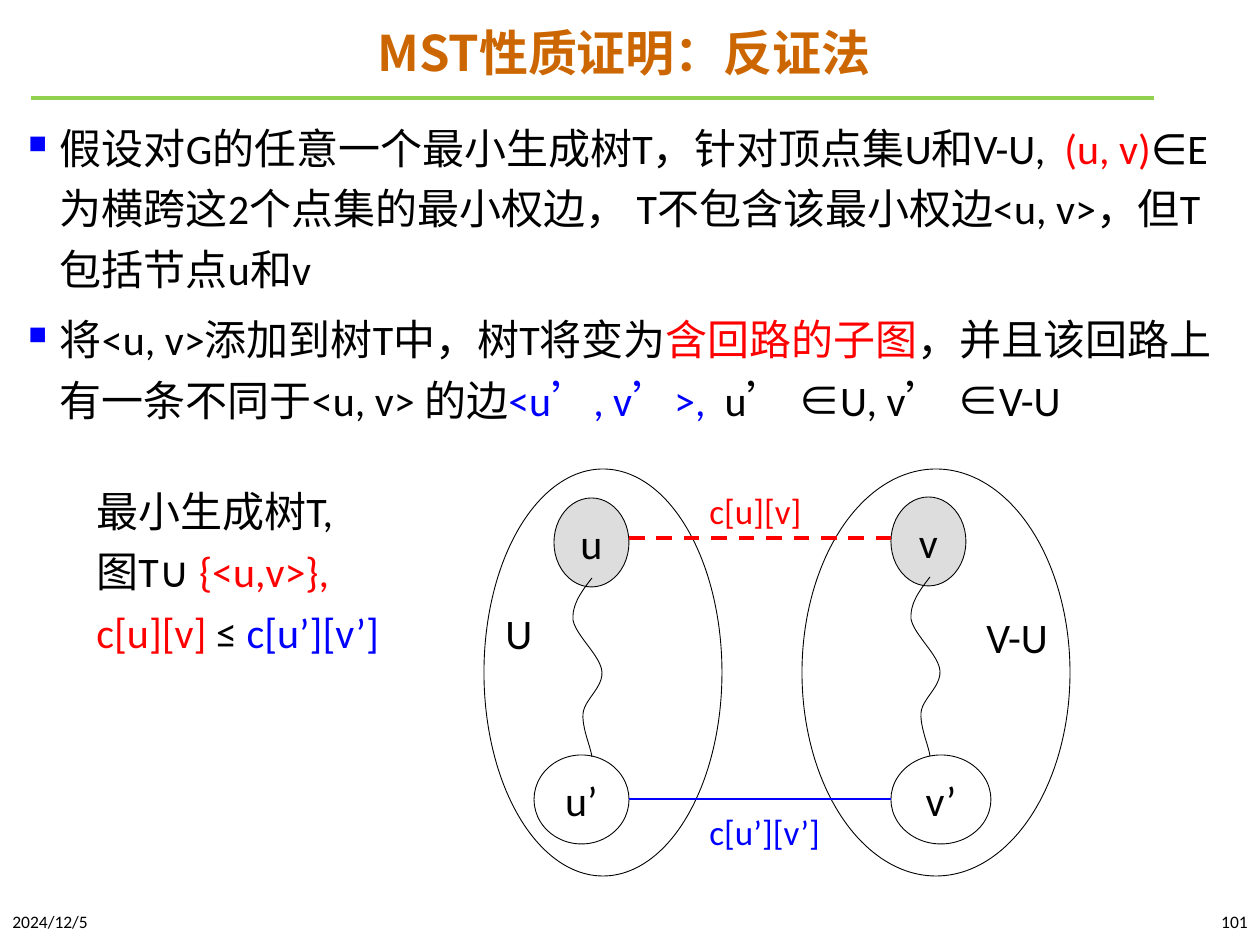
"""Build the slide that proves the MST property by contradiction."""
from lxml import etree
from pptx import Presentation, util as u
from pptx.dml.color import RGBColor
from pptx.enum import dml, shapes, text
from pptx.oxml import ns

SCALE = 914400 / 126
BLACK = RGBColor(0, 0, 0)
RED = RGBColor(255, 0, 0)
BLUE = RGBColor(0, 0, 255)
GREEN = RGBColor(0x92, 0xD0, 0x50)
ORANGE = RGBColor(0xCC, 0x66, 0x00)
GREY = RGBColor(0xDD, 0xDD, 0xDD)
LATIN, CHINESE = "Calibri", "Noto Sans CJK SC"
LEFT, CENTER, RIGHT = text.PP_ALIGN.LEFT, text.PP_ALIGN.CENTER, text.PP_ALIGN.RIGHT
TOP, MIDDLE = text.MSO_ANCHOR.TOP, text.MSO_ANCHOR.MIDDLE


def px(*lengths):
    return [round(length * SCALE) for length in lengths]


def write(shape, paragraphs, size=24, align=LEFT, anchor=TOP, wrap=True, bold=False, spacing=None, bullet=False):
    frame = shape.text_frame
    for name, value in {"word_wrap": wrap, "vertical_anchor": anchor}.items():
        setattr(frame, name, value)
    for index, runs in enumerate(paragraphs):
        paragraph = frame.add_paragraph() if index else frame.paragraphs[0]
        if bullet:
            properties = paragraph._p.get_or_add_pPr()
            properties.set("marL", "228600")
            properties.set("indent", "-228600")
            color = etree.SubElement(properties, ns.qn("a:buClr"))
            etree.SubElement(color, ns.qn("a:srgbClr"), val=str(BLUE))
            etree.SubElement(properties, ns.qn("a:buSzPct"), val="60000")
            etree.SubElement(properties, ns.qn("a:buChar"), char="■")
            paragraph.space_before = u.Pt(5 if index else 0)
        paragraph.alignment = align
        paragraph.line_spacing = spacing[index] if spacing else None
        for words, color, *face in runs:
            run = paragraph.add_run()
            run.text = words
            font_name = face[0] if face else LATIN
            for name, value in {"size": u.Pt(size), "name": font_name, "bold": bold}.items():
                setattr(run.font, name, value)
            run.font.color.rgb = color
            etree.SubElement(run._r.get_or_add_rPr(), ns.qn("a:ea"), typeface=font_name)


presentation = Presentation()
presentation.slide_width, presentation.slide_height = px(1260, 945)
slide = presentation.slides.add_slide(presentation.slide_layouts[6])

PRIME = "’"
premise = [
    ("假设对G的任意一个最小生成树T，针对顶点集U和V-U,  ", BLACK),
    ("(u, v)", RED),
    ("∈E为横跨这2个点集的最小权边， T不包含该最小权边<u, v>，但T包括节点u和v", BLACK),
]
cycle = [
    ("将<u, v>添加到树T中，树T将变为", BLACK),
    ("含回路的子图", RED),
    ("，并且该回路上有一条不同于<u, v> 的边", BLACK),
    ("<u", BLUE), (PRIME, BLUE, CHINESE), (", v", BLUE), (PRIME, BLUE, CHINESE), (">,  ", BLUE),
    ("u", BLACK), (PRIME, BLACK, CHINESE), (" ∈U, v", BLACK), (PRIME, BLACK, CHINESE), (" ∈V-U", BLACK),
]
conclusion = [
    [("最小生成树T,", BLACK)],
    [("图T∪ ", BLACK), ("{<u,v>},", RED)],
    [("c[u][v] ", RED), ("≤ ", BLACK), ("c[u’][v’]", BLUE)],
]
text_boxes = [
    ((81, 13, 1086, 86), [[("MST性质证明：反证法", ORANGE, CHINESE)]],
     {"size": 28, "align": CENTER, "anchor": MIDDLE, "bold": True, "spacing": [0.9]}),
    ((16, 106, 1226, 795), [premise, cycle], {"spacing": [1.2, u.Pt(35)], "bullet": True}),
    ((0, 900, 284, 43), [[("2024/12/5", BLACK)]], {"size": 10, "anchor": MIDDLE}),
    ((976, 900, 284, 43), [[("101", BLACK)]], {"size": 10, "align": RIGHT, "anchor": MIDDLE}),
    ((493, 601, 52, 63), [[("U", BLACK)]], {}),
    ((974, 605, 89, 63), [[("V-U", BLACK)]], {"wrap": False}),
    ((84, 469, 311, 192), conclusion, {"wrap": False, "spacing": [1.2] * 3}),
    ((697, 483, 118, 55), [[("c[u][v]", RED)]], {"size": 20, "wrap": False}),
    ((697, 804, 137, 55), [[("c[u’][v’]", BLUE)]], {"size": 20, "wrap": False}),
]
for box, paragraphs, formats in text_boxes:
    write(slide.shapes.add_textbox(*px(*box)), paragraphs, **formats)

ellipses = [
    ((484, 469, 238, 407), "", None),
    ((802, 469, 268, 407), "", None),
    ((534, 755, 95, 89), "u’", None),
    ((554, 498, 75, 89), "u", GREY),
    ((891, 755, 100, 89), "v’", None),
    ((891, 497, 75, 89), "v", GREY),
]
for box, label, fill in ellipses:
    ellipse = slide.shapes.add_shape(shapes.MSO_SHAPE.OVAL, *px(*box))
    ellipse.shadow.inherit = False
    if fill:
        ellipse.fill.solid()
        ellipse.fill.fore_color.rgb = fill
    else:
        ellipse.fill.background()
    ellipse.line.color.rgb = BLACK
    ellipse.line.width = u.Pt(0.5)
    if label:
        write(ellipse, [[(label, BLACK)]], align=CENTER, anchor=MIDDLE)

WAVE = [(0, 0), (-10, 13), (-20, 26), (-19, 42), (-16, 58), (9, 78), (10, 94),
        (11, 110), (-8, 122), (-9, 136), (-10, 150), (-1, 170), (0, 179)]
STEPS = 12
for left, top in [(592, 578), (930, 577)]:
    points = []
    for first in range(0, len(WAVE) - 1, 3):
        for step in range(1, STEPS + 1):
            t = step / STEPS
            weights = [(1 - t) ** 3, 3 * t * (1 - t) ** 2, 3 * t * t * (1 - t), t ** 3]
            controls = WAVE[first:first + 4]
            x = left + sum(w * point[0] for w, point in zip(weights, controls))
            y = top + sum(w * point[1] for w, point in zip(weights, controls))
            points.append(px(x, y))
    builder = slide.shapes.build_freeform(*px(left, top))
    builder.add_line_segments(points, close=False)
    wave = builder.convert_to_shape()
    wave.shadow.inherit = False
    wave.fill.background()
    wave.line.color.rgb = BLACK
    wave.line.width = u.Pt(0.5)

lines = [
    ((31, 98, 1154, 98), GREEN, 2.25, None),
    ((629, 538, 891, 538), RED, 2.25, dml.MSO_LINE.DASH),
    ((629, 799, 891, 799), BLUE, 1.5, None),
]
for ends, color, width, dash in lines:
    connector = slide.shapes.add_connector(shapes.MSO_CONNECTOR.STRAIGHT, *px(*ends))
    connector.line.color.rgb = color
    for name, value in {"width": u.Pt(width), "dash_style": dash}.items():
        setattr(connector.line, name, value)
    etree.SubElement(connector._element.spPr, ns.qn("a:effectLst"))

presentation.save("out.pptx")
